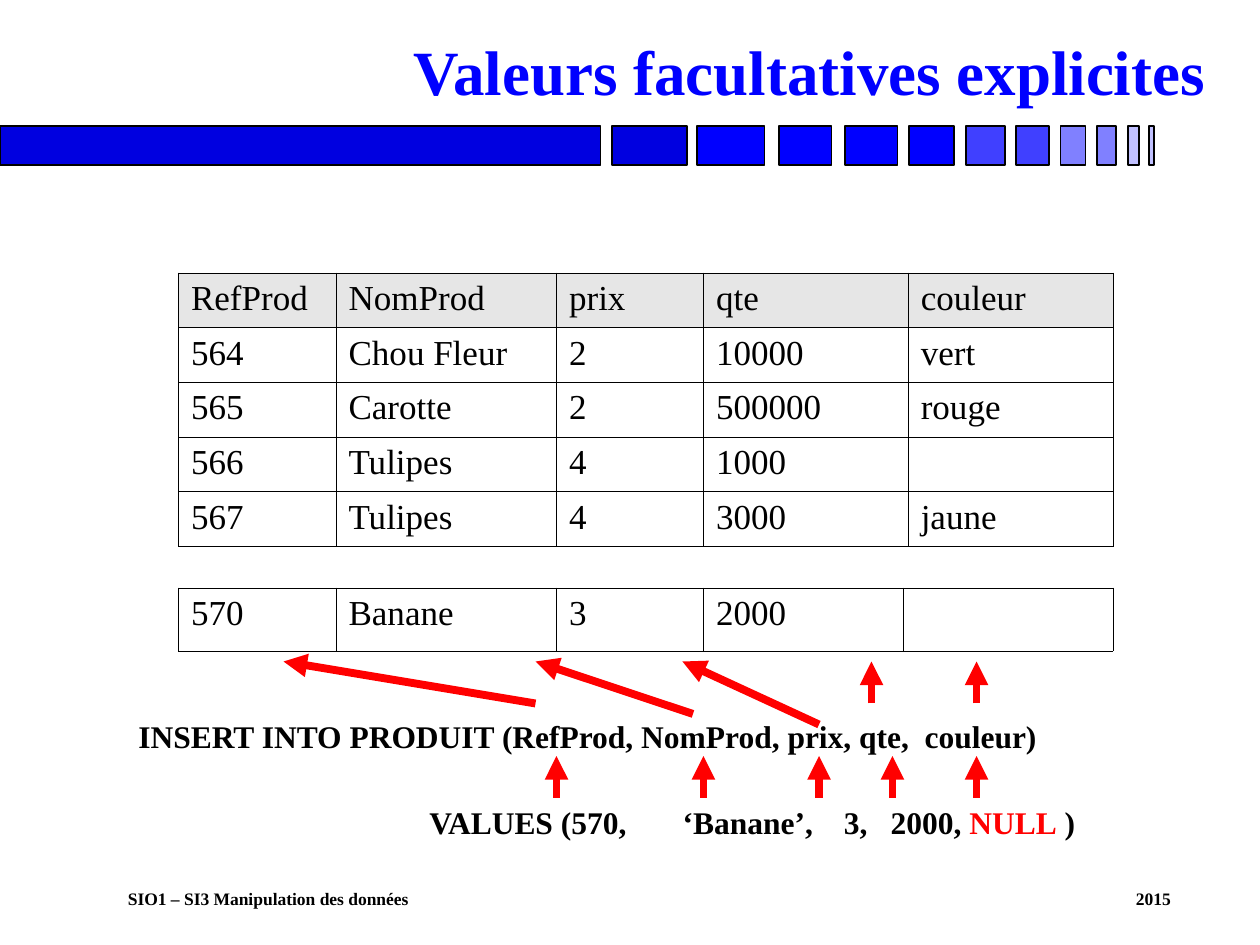
from dataclasses import dataclass

from lxml.etree import SubElement
from pptx import Presentation
from pptx.dml.color import RGBColor as Rgb
from pptx.enum.shapes import MSO_CONNECTOR as Connector, MSO_SHAPE as Shape
from pptx.enum.text import MSO_ANCHOR as Anchor, PP_ALIGN as Align
from pptx.oxml.ns import qn
from pptx.util import Inches, Pt


@dataclass(frozen=True)
class Theme:
    """Colours, font and type sizes of the slide."""

    font: str = "Times New Roman"
    ink: str = "000000"
    title: str = "0000FF"
    accent: str = "FF0000"
    header: str = "E6E6E6"
    title_size: int = 36
    table_size: int = 20
    code_size: int = 18
    footer_size: int = 10
    bar_line: float = 1
    border: float = 0.45
    arrow: float = 4.5


THEME = Theme()
COLUMNS, ROWS = 120, 90
BARS = [
    (0, 57.2, "0000E0"), (58.3, 7.1, "0000E0"),
    (66.4, 6.4, "0000FF"), (74.2, 5, "0000FF"),
    (80.5, 5, "0000FF"), (86.6, 4.3, "0000FF"),
    (92, 3.7, "4040FF"), (96.8, 3.1, "4040FF"),
    (101, 2.4, "8080FF"), (104.5, 1.8, "8080FF"),
    (107.4, 1.1, "C0C0FF"), (109.4, 0.5, "C0C0FF"),
]
PRODUCTS = [
    ["RefProd", "NomProd", "prix", "qte", "couleur"],
    ["564", "Chou Fleur", "2", "10000", "vert"],
    ["565", "Carotte", "2", "500000", "rouge"],
    ["566", "Tulipes", "4", "1000", ""],
    ["567", "Tulipes", "4", "3000", "jaune"],
]
NEW_PRODUCT = [["570", "Banane", "3", "2000", ""]]
VALUE_COLUMNS = [53, 67, 78, 85, 93]
FIELD_ARROWS = [
    ((51, 67), (27, 63)), ((66, 68), (51, 63)), ((78, 69), (65, 63)),
    ((83, 67), (83, 63)), ((93, 67), (93, 63)),
]


def grid(*cells):
    """Turn grid counts of a twelfth of an inch into lengths."""
    return [Inches(cell / 12) for cell in cells]


def style_run(run, size, color, bold=True):
    """Apply the theme font to one run."""
    run.font.name = THEME.font
    run.font.size = Pt(size)
    run.font.bold = bold
    run.font.color.rgb = Rgb.from_string(color)


def add_text_frame(slide, place, anchor=Anchor.TOP):
    """Add a wrapping text box and return its frame."""
    frame = slide.shapes.add_textbox(*grid(*place)).text_frame
    frame.word_wrap = True
    frame.vertical_anchor = anchor
    return frame


def write_line(paragraph, pieces, size, tabs=()):
    """Fill a paragraph with coloured bold pieces and left tab stops in inches."""
    if tabs:
        stops = SubElement(paragraph._p.get_or_add_pPr(), qn("a:tabLst"))
        for position in tabs:
            SubElement(stops, qn("a:tab"), pos=str(Inches(position)), algn="l")
    for words, color in pieces:
        run = paragraph.add_run()
        run.text = words
        style_run(run, size, color)


def add_bars(slide):
    """Draw the band of bars fading to the right."""
    for left, width, color in BARS:
        bar = slide.shapes.add_shape(Shape.RECTANGLE, *grid(left, 12, width, 3.75))
        bar.shadow.inherit = False
        bar.fill.solid()
        bar.fill.fore_color.rgb = Rgb.from_string(color)
        bar.line.color.rgb = Rgb.from_string(THEME.ink)
        bar.line.width = Pt(THEME.bar_line)


def add_title(slide):
    """Write the right-aligned title."""
    title = add_text_frame(slide, (3, 2.75, 113, 8.25), Anchor.BOTTOM).paragraphs[0]
    title.alignment = Align.RIGHT
    title.line_spacing = 0.9
    write_line(title, [("Valeurs facultatives explicites", THEME.title)], THEME.title_size)


def add_footer(slide):
    """Write the course name and the year."""
    footer = add_text_frame(slide, (11, 84, 106, 3)).paragraphs[0]
    course = "SIO1 – SI3 Manipulation des données\t2015"
    write_line(footer, [(course, THEME.ink)], THEME.footer_size, [8])


def add_statement(slide):
    """Write the two lines of the insert statement."""
    statement = add_text_frame(slide, (12, 67.7, 96, 13))
    insert = "INSERT INTO PRODUIT (RefProd, NomProd, prix, qte,\tcouleur)"
    write_line(statement.paragraphs[0], [(insert, THEME.ink)], THEME.code_size, [6.24])
    values = statement.add_paragraph()
    values.space_before = Pt(27.3)
    pieces = [
        ("\tVALUES (570,\t‘Banane’,\t3,\t2000, ", THEME.ink),
        ("NULL", THEME.accent),
        (" )", THEME.ink),
    ]
    write_line(values, pieces, THEME.code_size, [2.31, 4.32, 5.6, 5.97])


def draw_borders(cell):
    """Give a cell a thin line on its four sides."""
    properties = cell._tc.get_or_add_tcPr()
    for side in ("lnL", "lnR", "lnT", "lnB"):
        line = SubElement(properties, qn(f"a:{side}"), w=str(Pt(THEME.border)))
        fill = SubElement(line, qn("a:solidFill"))
        SubElement(fill, qn("a:srgbClr"), val=THEME.ink)


def add_product_table(slide, records, top, widths, row_height, has_header=False):
    """Add a bordered table of products."""
    place = grid(17, top, sum(widths), row_height * len(records))
    table = slide.shapes.add_table(len(records), len(widths), *place).table
    table.first_row = table.horz_banding = False
    for column, width in zip(table.columns, grid(*widths)):
        column.width = width
    for index, record in enumerate(records):
        table.rows[index].height = grid(row_height)[0]
        for cell, value in zip(table.rows[index].cells, record):
            draw_borders(cell)
            if has_header and index == 0:
                cell.fill.solid()
                cell.fill.fore_color.rgb = Rgb.from_string(THEME.header)
            else:
                cell.fill.background()
            cell.text_frame.text = value
            for run in cell.text_frame.paragraphs[0].runs:
                style_run(run, THEME.table_size, THEME.ink, bold=False)


def add_arrow(slide, start, end):
    """Draw a thick arrow between two grid points."""
    arrow = slide.shapes.add_connector(Connector.STRAIGHT, *grid(*start, *end))
    arrow.line.color.rgb = Rgb.from_string(THEME.accent)
    arrow.line.width = Pt(THEME.arrow)
    properties = arrow._element.spPr
    SubElement(properties.find(qn("a:ln")), qn("a:tailEnd"), type="triangle")
    SubElement(properties, qn("a:effectLst"))


def main():
    """Build and save the slide."""
    deck = Presentation()
    deck.slide_width, deck.slide_height = grid(COLUMNS, ROWS)
    slide = deck.slides.add_slide(deck.slide_layouts[6])
    add_bars(slide)
    add_footer(slide)
    add_title(slide)
    add_statement(slide)
    add_product_table(slide, PRODUCTS, 26, [15, 21, 14, 19.5, 19.5], 5.2, has_header=True)
    add_product_table(slide, NEW_PRODUCT, 56, [15, 21, 14, 19, 20], 6)
    value_arrows = [((column, 76), (column, 72)) for column in VALUE_COLUMNS]
    for start, end in value_arrows + FIELD_ARROWS:
        add_arrow(slide, start, end)
    deck.save("out.pptx")


if __name__ == "__main__":
    main()
